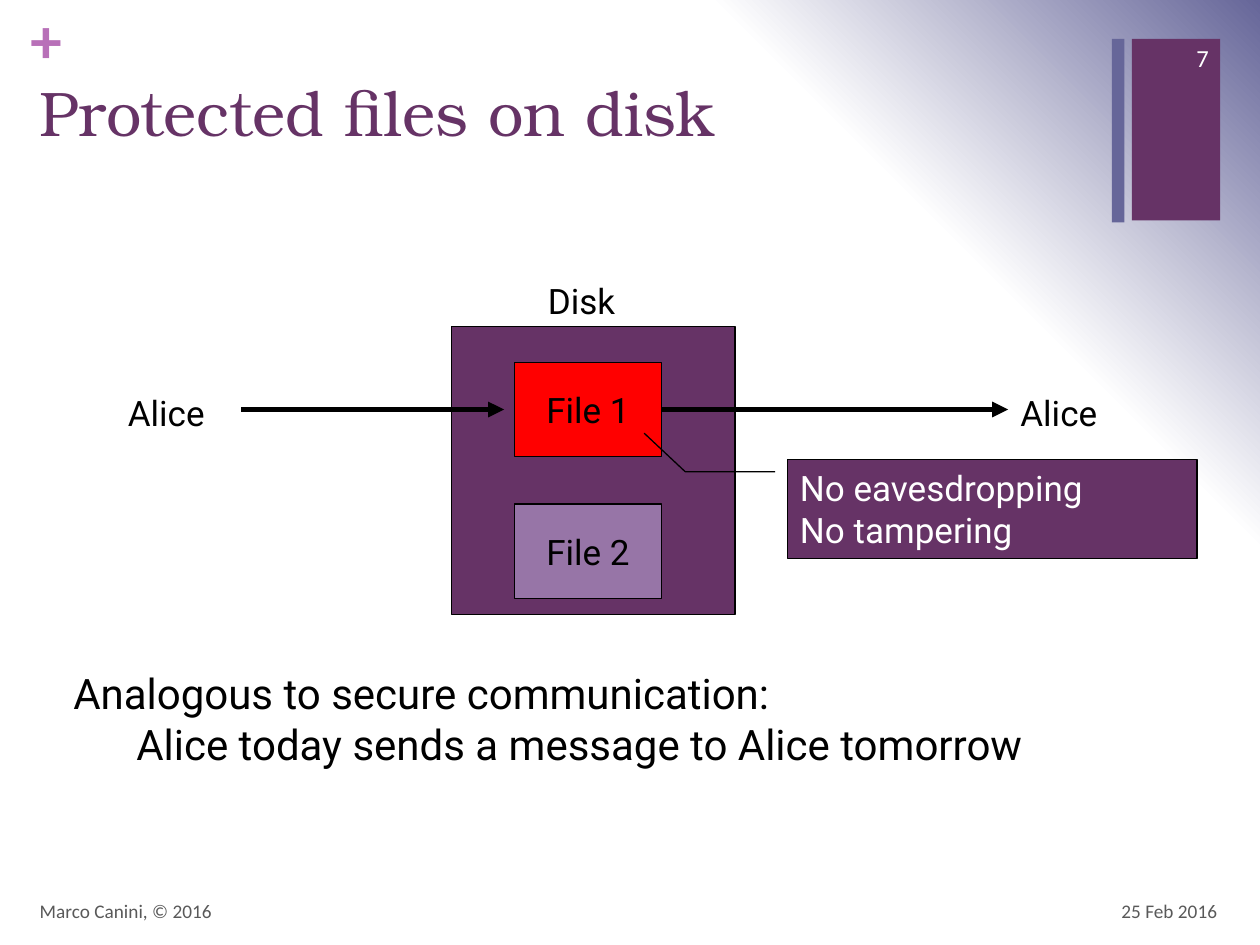
from pptx import Presentation, util as u
from pptx.dml.color import RGBColor
from pptx.enum import shapes as s, text as t
from pptx.oxml import parse_xml
from pptx.oxml.ns import nsdecls, qn
from lxml import etree

PLUM = RGBColor(0x66, 0x33, 0x66)
SLATE = RGBColor(0x66, 0x66, 0x99)
PINK = RGBColor(0xB8, 0x70, 0xB8)
LILAC = RGBColor(0x97, 0x75, 0xA7)
RED = RGBColor(0xFF, 0, 0)
BLACK = RGBColor(0, 0, 0)
GREY = RGBColor(0x59, 0x59, 0x59)
WHITE = RGBColor(0xFF, 0xFF, 0xFF)

COLS, ROWS = 120, 90
CELL = u.Inches(10) / COLS
LEFT, MID, RIGHT = t.PP_ALIGN.LEFT, t.PP_ALIGN.CENTER, t.PP_ALIGN.RIGHT
TOP, CENTRE = t.MSO_ANCHOR.TOP, t.MSO_ANCHOR.MIDDLE
RECT = s.MSO_SHAPE.RECTANGLE


def grid(*cells):
    return [u.Emu(round(c * CELL)) for c in cells]


def inside(box, x, y, w=0, h=0):
    """Turn cells counted from the box's corner into slide lengths."""
    return grid(box[0] + x, box[1] + y, w, h)


def write(shape, lines, size, color, face="Roboto", align=LEFT, anchor=TOP, wrap=True):
    frame = shape.text_frame
    frame.text = lines
    frame.word_wrap = wrap
    frame.vertical_anchor = anchor
    for para in frame.paragraphs:
        para.alignment = align
        para.font.size = u.Pt(size)
        para.font.name = face
        para.font.color.rgb = color
    return frame


def label(slide, place, *args, **style):
    return write(slide.shapes.add_textbox(*place), *args, **style)


def block(slide, place, fill, edge=None, kind=RECT):
    shape = slide.shapes.add_shape(kind, *place)
    shape.shadow.inherit = False
    shape.fill.solid()
    shape.fill.fore_color.rgb = fill
    if edge is None:
        shape.line.fill.background()
    else:
        shape.line.color.rgb = edge
        shape.line.width = u.Pt(0.75)
    return shape


def arrow(slide, box, x, end, y):
    line = slide.shapes.add_connector(
        s.MSO_CONNECTOR.STRAIGHT, *inside(box, x, y)[:2], *inside(box, end, y)[:2])
    line.line.color.rgb = BLACK
    line.line.width = u.Pt(3)
    etree.SubElement(line.line._get_or_add_ln(), qn("a:tailEnd"), type="triangle")
    etree.SubElement(line._element.spPr, qn("a:effectLst"))
    return line


def backdrop(slide):
    """White at the lower left, shading to slate at the upper right."""
    stops = "".join(
        f'<a:gs pos="{pos * 1000}"><a:srgbClr val="{color}"/></a:gs>'
        for pos, color in ((0, WHITE), (75, WHITE), (100, SLATE)))
    slide._element.cSld.insert(0, parse_xml(
        f'<p:bg {nsdecls("p", "a")}><p:bgPr><a:gradFill><a:gsLst>{stops}</a:gsLst>'
        '<a:path path="circle"><a:fillToRect t="100000" r="100000"/></a:path>'
        '</a:gradFill><a:effectLst/></p:bgPr></p:bg>'))


def header(slide, box):
    title = slide.shapes.title
    title.left, title.top, title.width, title.height = inside(box, 2.6, 6.4, 103.1, 14.6)
    write(title, "Protected files on disk", 36, PLUM, "TeX Gyre Bonum")
    plus = label(slide, inside(box, 2.9, 0, 3.5, 7.3), "+", 36, PINK, "Calibri", wrap=False)
    plus.margin_left = plus.margin_top = plus.margin_right = plus.margin_bottom = 0
    plus.paragraphs[0].font.bold = True
    block(slide, inside(box, 107.8, 3.7, 8.4, 17.3), PLUM)
    block(slide, inside(box, 105.9, 3.7, 1.2, 17.5), SLATE)
    label(slide, inside(box, 109, 3.1, 7.3, 4.8), "7", 14, WHITE, "Calibri", RIGHT, CENTRE)


def diagram(slide, box):
    block(slide, inside(box, 32, 5.1, 27, 27.4), PLUM, BLACK)
    label(slide, inside(box, 40, 0, 10.3, 5.3), "Disk", 20, BLACK)
    files = []
    for i, fill in enumerate((RED, LILAC)):
        file = block(slide, inside(box, 38, 8.5 + 13.5 * i, 14, 9), fill, BLACK)
        write(file, f"File {i + 1}", 20, BLACK, align=MID, anchor=CENTRE, wrap=False)
        files.append(file)
    arrow(slide, box, 12, 37, 13)
    arrow(slide, box, 52, 85, 13).begin_connect(files[0], 3)
    for x in (0, 85):
        label(slide, inside(box, x, 10.7, 11.2, 5.3), "Alice", 20, BLACK)
    note = block(slide, inside(box, 64, 17.8, 39, 9.4), PLUM, BLACK, s.MSO_SHAPE.LINE_CALLOUT_2)
    for i, share in enumerate((0.12, -0.03, 0.12, -0.25, -0.27, -0.35)):
        note.adjustments[i] = share
    write(note, "No eavesdropping\nNo tampering", 20, WHITE)


def remark(slide, box):
    frame = label(slide, inside(box, 0, 0, *box[2:]),
                  "Analogous to secure communication:\n"
                  "Alice today sends a message to Alice tomorrow", 24, BLACK)
    frame.paragraphs[1]._p.get_or_add_pPr().set("marL", str(u.Inches(0.5)))


def footer(slide, box):
    for x, w, words, align in ((0, 80.4, "Marco Canini, © 2016", LEFT),
                               (86.5, 28, "25 Feb 2016", RIGHT)):
        label(slide, inside(box, x, 0, w, box[3]), words, 11, GREY, "Calibri", align, CENTRE)


def main():
    deck = Presentation()
    deck.slide_width, deck.slide_height = grid(COLS, ROWS)
    slide = deck.slides.add_slide(deck.slide_layouts[5])
    backdrop(slide)
    header(slide, (0, 0, COLS, 22))
    diagram(slide, (11, 26, 103, 33))
    remark(slide, (5.8, 63, 111.4, 10.9))
    footer(slide, (2.6, 84.3, 114.5, 4.8))
    deck.save("out.pptx")


if __name__ == "__main__":
    main()
